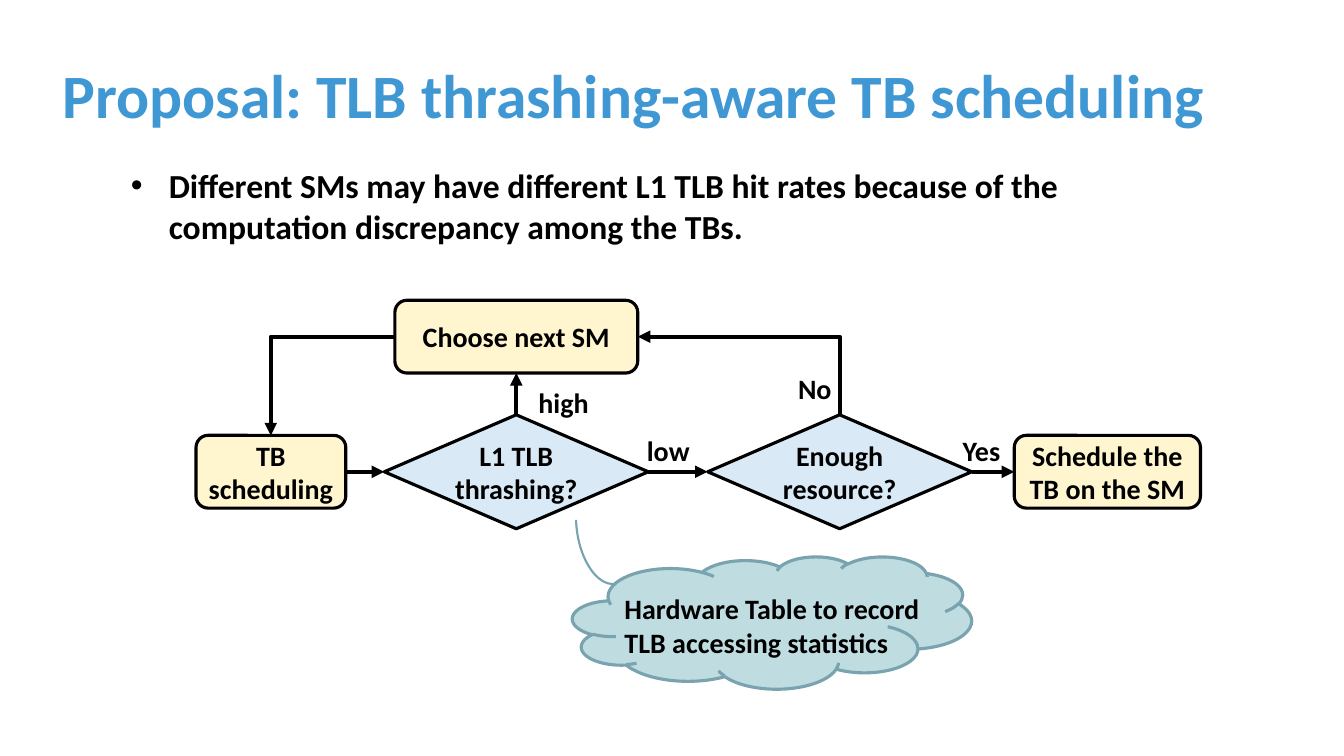
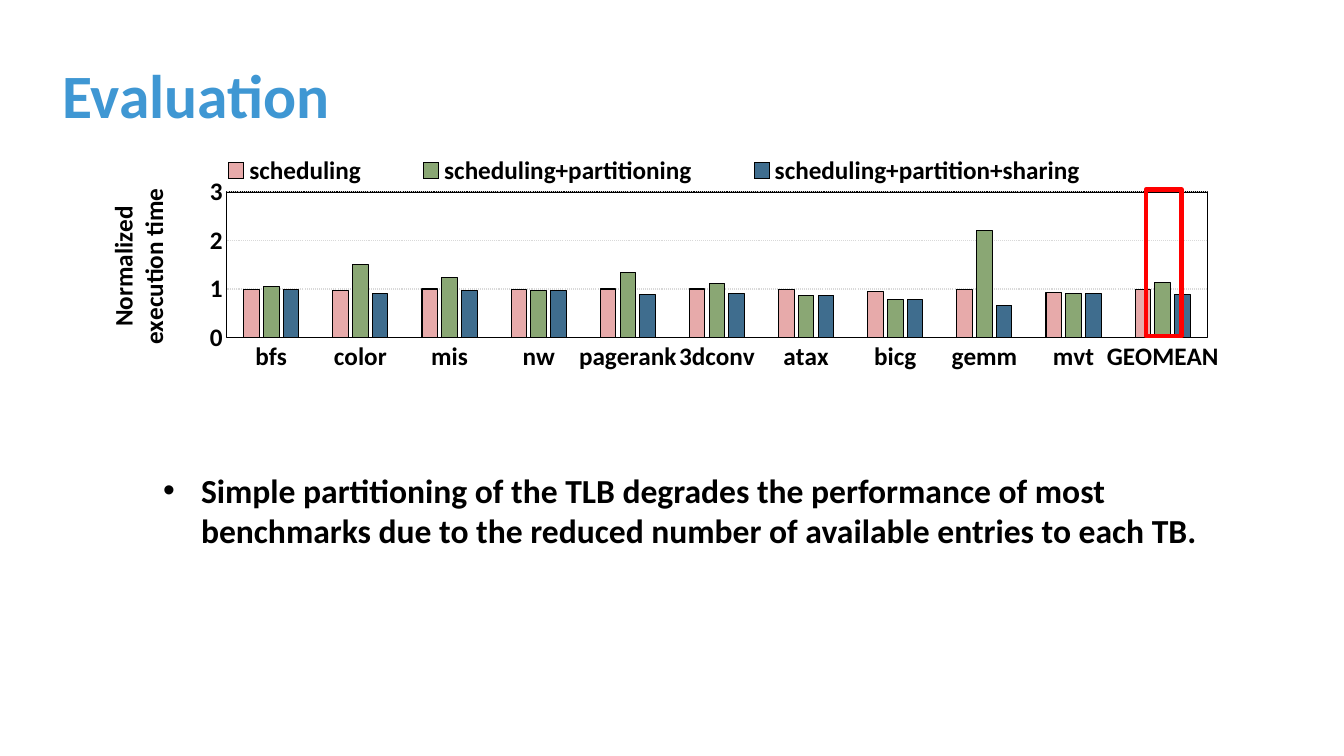
from lxml import etree
from pptx import Presentation
from pptx.chart.data import CategoryChartData
from pptx.dml.color import RGBColor
from pptx.enum.chart import XL_CHART_TYPE, XL_LEGEND_POSITION, XL_TICK_MARK
from pptx.enum.dml import MSO_LINE
from pptx.enum.shapes import MSO_CONNECTOR, MSO_SHAPE
from pptx.enum.text import MSO_ANCHOR, PP_ALIGN
from pptx.oxml import parse_xml
from pptx.oxml.ns import nsdecls, qn
from pptx.util import Pt

ROUNDED, DIAMOND = MSO_SHAPE.ROUNDED_RECTANGLE, MSO_SHAPE.DIAMOND
CLOUD, ARC, RECTANGLE = MSO_SHAPE.CLOUD, MSO_SHAPE.ARC, MSO_SHAPE.RECTANGLE
STRAIGHT, ELBOW = MSO_CONNECTOR.STRAIGHT, MSO_CONNECTOR.ELBOW
MIDDLE, TOP_ANCHOR = MSO_ANCHOR.MIDDLE, MSO_ANCHOR.TOP
LEFT_ALIGN, CENTER = PP_ALIGN.LEFT, PP_ALIGN.CENTER
COLUMNS, LEGEND_BOTTOM = XL_CHART_TYPE.COLUMN_CLUSTERED, XL_LEGEND_POSITION.BOTTOM
NO_TICK, DOTTED = XL_TICK_MARK.NONE, MSO_LINE.ROUND_DOT
TOP, LEFT, BOTTOM, RIGHT = range(4)

BLACK = RGBColor(0x00, 0x00, 0x00)
TITLE_BLUE = RGBColor(0x3F, 0x97, 0xD3)
STEP_YELLOW = RGBColor(0xFF, 0xF6, 0xCF)
CHECK_BLUE = RGBColor(0xD9, 0xEA, 0xF6)
CLOUD_FILL = RGBColor(0xBF, 0xDC, 0xE0)
CLOUD_LINE = RGBColor(0x7A, 0xA3, 0xB0)
ARC_LINE = RGBColor(0x78, 0xA2, 0xAF)
GRID_GRAY = RGBColor(0xD9, 0xD9, 0xD9)
HIGHLIGHT_RED = RGBColor(0xFF, 0x00, 0x00)

FONT = "Calibri"
TITLE_BOX = (37.5, 18, 922.5, 104.5)
BULLET_INDENT = 27

BENCHMARKS = ["bfs", "color", "mis", "nw", "pagerank", "3dconv", "atax",
              "bicg", "gemm", "mvt", "GEOMEAN"]
SERIES = [
    ("scheduling", RGBColor(0xE7, 0xAA, 0xAA),
     [0.99, 0.96, 1, 0.98, 1, 1, 0.99, 0.94, 0.98, 0.93, 0.98]),
    ("scheduling+partitioning", RGBColor(0x8A, 0xA7, 0x74),
     [1.05, 1.5, 1.24, 0.97, 1.34, 1.12, 0.87, 0.78, 2.2, 0.9, 1.14]),
    ("scheduling+partition+sharing", RGBColor(0x3F, 0x6D, 0x8E),
     [0.98, 0.9, 0.96, 0.97, 0.88, 0.9, 0.87, 0.78, 0.66, 0.9, 0.88]),
]


def points(*values):
    """Turn plain numbers into lengths in points."""
    return [Pt(value) for value in values]


def set_font(font, size, color=BLACK):
    """Apply the bold deck font in one size and colour."""
    values = {"name": FONT, "size": Pt(size), "bold": True}
    for name, value in values.items():
        setattr(font, name, value)
    font.color.rgb = color


def set_line(line, color, width):
    """Give an outline its colour and width."""
    line.color.rgb = color
    line.width = Pt(width)


def write(frame, lines, size, color=BLACK, align=LEFT_ALIGN, anchor=TOP_ANCHOR, spacing=None):
    """Fill a text frame with one paragraph for each line."""
    frame.word_wrap = True
    frame.vertical_anchor = anchor
    for index, line in enumerate(lines):
        para = frame.add_paragraph() if index else frame.paragraphs[0]
        para.alignment = align
        para.line_spacing = spacing
        span = para.add_run()
        span.text = line
        set_font(span.font, size, color)


def add_text(page, box, lines, size, **layout):
    """Place a text box and return its frame."""
    frame = page.shapes.add_textbox(*points(*box)).text_frame
    write(frame, lines, size, **layout)
    return frame


def add_bullet(page, box, text):
    """Place a single bulleted statement."""
    frame = add_text(page, box, [text], 24)
    properties = frame.paragraphs[0]._p.get_or_add_pPr()
    properties.set("marL", str(Pt(BULLET_INDENT)))
    properties.set("indent", str(-Pt(BULLET_INDENT)))
    etree.SubElement(properties, qn("a:buFont")).set("typeface", "Arial")
    etree.SubElement(properties, qn("a:buChar")).set("char", "•")


def add_outline(page, kind, box, color, width, fill=None):
    """Place a preset shape with a line and an optional fill."""
    shape = page.shapes.add_shape(kind, *points(*box))
    shape.shadow.inherit = False
    set_line(shape.line, color, width)
    if fill is None:
        shape.fill.background()
    else:
        shape.fill.solid()
        shape.fill.fore_color.rgb = fill
    return shape


def add_node(page, kind, center, size, fill, text):
    """Place a flowchart node around its centre."""
    (x, y), (width, height) = center, size
    box = (x - width / 2, y - height / 2, width, height)
    node = add_outline(page, kind, box, BLACK, 2.25, fill)
    frame = node.text_frame
    for side in ("left", "top", "right", "bottom"):
        setattr(frame, f"margin_{side}", 0)
    write(frame, [text], 20, align=CENTER, anchor=MIDDLE)
    return node


def add_arrow(page, kind, start, end, arrow_end="a:tailEnd"):
    """Join two (node, side) pairs with an arrow."""
    arrow = page.shapes.add_connector(kind, 0, 0, 0, 0)
    arrow.begin_connect(*start)
    arrow.end_connect(*end)
    set_line(arrow.line, BLACK, 3)
    properties = arrow._element.spPr
    if kind == ELBOW:
        properties.find(qn("a:prstGeom")).set("prst", "bentConnector2")
    etree.SubElement(properties.find(qn("a:ln")), qn(arrow_end)).set("type", "triangle")
    etree.SubElement(properties, qn("a:effectLst"))


def add_flowchart(page, left, top):
    """Draw the scheduling loop from its top left corner."""
    row, upper = top + 122.5, top + 26
    thrash_x, resource_x = left + 228.8, left + 459.8
    check_size = (188.6, 81.4)
    start = add_node(page, ROUNDED, (left + 53.5, row), (107, 52), STEP_YELLOW, "TB scheduling")
    thrash = add_node(page, DIAMOND, (thrash_x, row), check_size, CHECK_BLUE, "L1 TLB thrashing?")
    resource = add_node(page, DIAMOND, (resource_x, row), check_size, CHECK_BLUE,
                        "Enough resource?")
    finish = add_node(page, ROUNDED, (left + 651, row), (133, 52), STEP_YELLOW,
                      "Schedule the TB on the SM")
    choose = add_node(page, ROUNDED, (thrash_x, upper), (173.5, 52), STEP_YELLOW,
                      "Choose next SM")
    for origin, target in ((start, thrash), (thrash, resource), (resource, finish)):
        add_arrow(page, STRAIGHT, (origin, RIGHT), (target, LEFT))
    add_arrow(page, STRAIGHT, (thrash, TOP), (choose, BOTTOM))
    add_arrow(page, ELBOW, (choose, LEFT), (start, TOP))
    add_arrow(page, ELBOW, (choose, RIGHT), (resource, TOP), "a:headEnd")
    labels = (("low", 315, 91.5), ("Yes", 540.5, 91.5), ("high", 237.5, 57), ("No", 423, 47))
    for text, x, y in labels:
        add_text(page, (left + x, top + y, 58, 32), [text], 20)


def add_cloud_note(page, left, top):
    """Draw the cloud remark and the arc that leads to it."""
    add_outline(page, CLOUD, (left, top, 285, 94.5), CLOUD_LINE, 2.25, CLOUD_FILL)
    add_text(page, (left + 30, top + 21.5, 305, 80),
             ["Hardware Table to record", "TLB accessing statistics"], 20)
    arc = add_outline(page, ARC, (left + 3, top - 60.5, 43, 80.5), ARC_LINE, 1.5)
    arc.adjustments[0], arc.adjustments[1] = 162, 13.95
    arc.rotation = 171.6


def set_layout(element, index, **values):
    """Fix the place of a chart part as fractions of the chart."""
    for old in element.findall(qn("c:layout")):
        element.remove(old)
    layout = parse_xml(f"<c:layout {nsdecls('c')}><c:manualLayout/></c:layout>")
    for name, value in values.items():
        etree.SubElement(layout[0], qn(f"c:{name}")).set("val", str(value))
    element.insert(index, layout)


def style_axes(chart):
    """Format both axes, the gridlines and the value title."""
    category, value = chart.category_axis, chart.value_axis
    for axis in (category, value):
        axis.major_tick_mark = axis.minor_tick_mark = NO_TICK
        set_font(axis.tick_labels.font, 18)
    set_line(category.format.line, BLACK, 0.75)
    labels = category._element.find(qn("c:txPr")).find(qn("a:bodyPr"))
    labels.set("rot", "-60000000")
    labels.set("vert", "horz")
    scale = {"minimum_scale": 0, "maximum_scale": 3, "major_unit": 1}
    for name, number in scale.items():
        setattr(value, name, number)
    value.format.line.fill.background()
    grid = value.major_gridlines.format.line
    set_line(grid, GRID_GRAY, 0.75)
    grid.dash_style = DOTTED
    title = value.axis_title
    write(title.text_frame, ["Normalized", "execution time"], 18, align=CENTER)
    title.text_frame._txBody.find(qn("a:bodyPr")).set("rot", "-5400000")
    set_layout(title._element, 1, xMode="edge", yMode="edge", x=0.02, y=0.1)


def add_time_chart(page, left, top, width, height):
    """Draw the execution time chart in the given box."""
    data = CategoryChartData(number_format="General")
    data.categories = BENCHMARKS
    for name, _, values in SERIES:
        data.add_series(name, values)
    chart = page.shapes.add_chart(COLUMNS, *points(left, top, width, height), data).chart
    set_font(chart.font, 18)
    chart.has_title = False
    plot = chart.plots[0]
    for name, value in {"gap_width": 219, "overlap": -27, "vary_by_categories": False}.items():
        setattr(plot, name, value)
    for series, (_, color, _) in zip(plot.series, SERIES):
        series.format.fill.solid()
        series.format.fill.fore_color.rgb = color
        set_line(series.format.line, BLACK, 0.75)
    style_axes(chart)
    chart.has_legend = True
    legend = chart.legend
    legend.position = LEGEND_BOTTOM
    legend.include_in_layout = False
    set_font(legend.font, 18)
    set_layout(legend._element, 1, xMode="edge", yMode="edge", x=0.08, y=0.01, w=0.81, h=0.09)
    area = chart._chartSpace.chart.plotArea
    set_layout(area, 0, layoutTarget="inner", xMode="edge", yMode="edge",
               x=0.124, y=0.12, w=0.828, h=0.436)
    area.append(parse_xml(
        f'<c:spPr {nsdecls("c", "a")}><a:noFill/><a:ln w="{Pt(0.75)}"><a:solidFill>'
        f'<a:srgbClr val="{BLACK}"/></a:solidFill></a:ln></c:spPr>'))


def add_page(deck, title):
    """Add a blank page with the shared title style."""
    page = deck.slides.add_slide(deck.slide_layouts[6])
    add_text(page, TITLE_BOX, [title], 44, color=TITLE_BLUE, anchor=MIDDLE, spacing=0.9)
    return page


def build_proposal(deck):
    """Build the slide on the scheduling proposal."""
    page = add_page(deck, "Proposal: TLB thrashing-aware TB scheduling")
    add_bullet(page, (86.5, 114.5, 736.5, 65.5),
               "Different SMs may have different L1 TLB hit rates because of the "
               "computation discrepancy among the TBs.")
    add_flowchart(page, 140, 214.5)
    add_cloud_note(page, 409, 397.5)


def build_evaluation(deck):
    """Build the slide on the measured results."""
    page = add_page(deck, "Evaluation")
    add_time_chart(page, 57, 108.5, 846, 238.5)
    add_bullet(page, (109.5, 332, 813.5, 94.5),
               "Simple partitioning of the TLB degrades the performance of most "
               "benchmarks due to the reduced number of available entries to each TB.")
    add_outline(page, RECTANGLE, (818.5, 135.5, 25.5, 104.5), HIGHLIGHT_RED, 3.25)


def main():
    """Build and save the deck."""
    deck = Presentation()
    deck.slide_width, deck.slide_height = points(960, 540)
    build_proposal(deck)
    build_evaluation(deck)
    deck.save("out.pptx")


if __name__ == "__main__":
    main()
